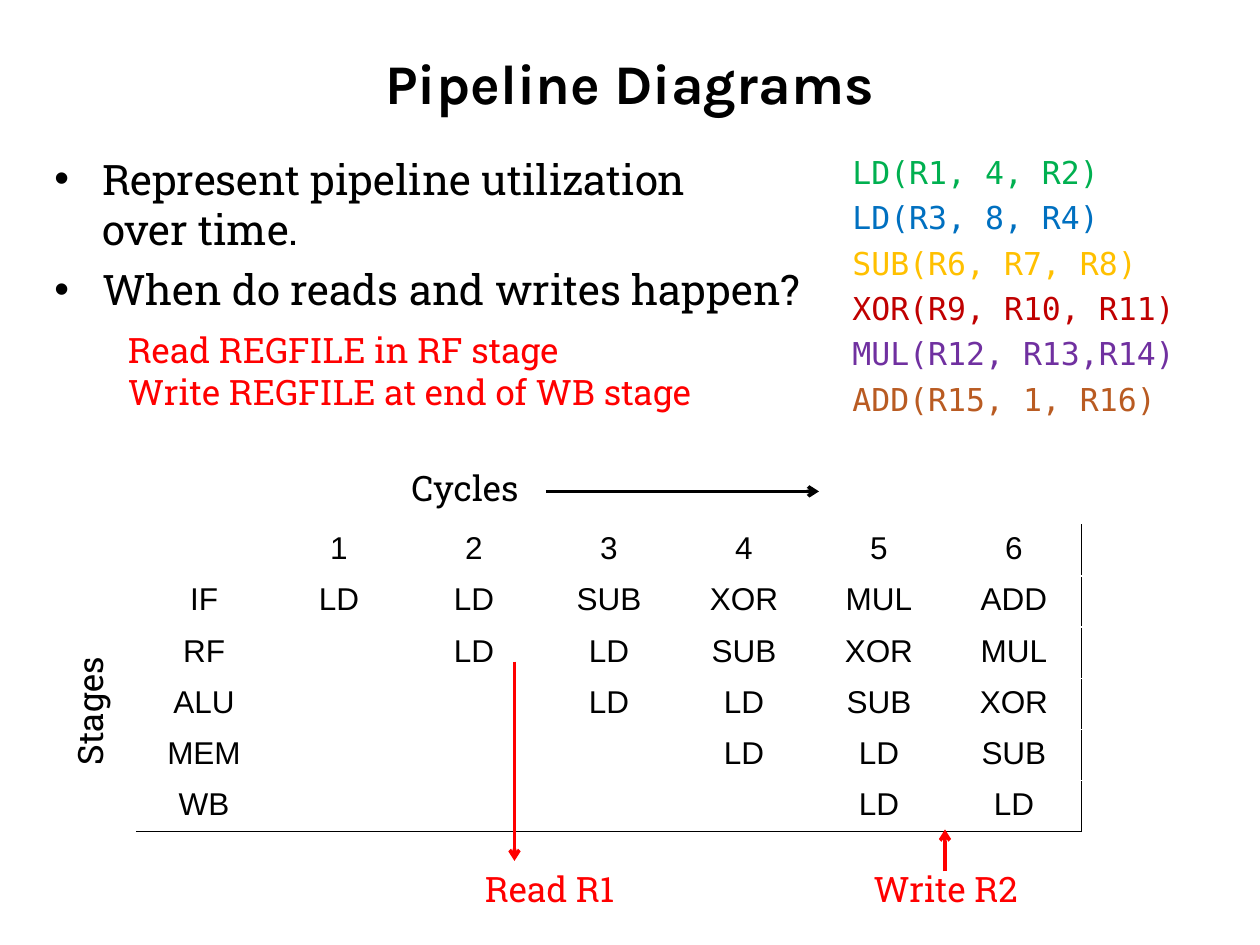
"""Build the Pipeline Diagrams slide on a grid of 120 by 90 square units."""
from dataclasses import dataclass

from lxml import etree
from pptx import Presentation, util as u
from pptx.dml.color import RGBColor
from pptx.enum import shapes, text
from pptx.oxml import ns


@dataclass(frozen=True)
class Theme:
    black: str = "000000"
    red: str = "FF0000"
    heading: str = "Karla"
    body: str = "Roboto Slab"
    code: str = "DejaVu Sans Mono"
    table: str = "Arial"
    title_size: int = 32
    body_size: int = 24
    label_size: int = 20
    small_size: int = 18


theme = Theme()
presentation = Presentation()
presentation.slide_width, presentation.slide_height = u.Inches(10), u.Inches(7.5)
slide = presentation.slides.add_slide(presentation.slide_layouts[6])
unit = presentation.slide_width / 120


def add_text(box, lines, font, size, colors, wrap=False, gap=0):
    """Add a text box with one paragraph per line, cycling through colors."""
    shape = slide.shapes.add_textbox(*(round(unit * value) for value in box))
    frame = shape.text_frame
    frame.word_wrap = wrap
    frame.auto_size = text.MSO_AUTO_SIZE.NONE if wrap else text.MSO_AUTO_SIZE.SHAPE_TO_FIT_TEXT
    for index, line in enumerate(lines):
        paragraph = frame.paragraphs[0] if index == 0 else frame.add_paragraph()
        paragraph.text = line
        paragraph.space_before = u.Pt(gap)
        paragraph.font.name, paragraph.font.size = font, u.Pt(size)
        paragraph.font.color.rgb = RGBColor.from_string(colors[index % len(colors)])
    return shape


def add_arrow(points, color):
    """Add a straight arrow that points at its end."""
    connector = slide.shapes.add_connector(
        shapes.MSO_CONNECTOR.STRAIGHT, *(round(unit * value) for value in points))
    connector.line.width = u.Pt(2)
    connector.line.color.rgb = RGBColor.from_string(color)
    etree.SubElement(connector.line._get_or_add_ln(), ns.qn("a:tailEnd"), type="arrow")
    etree.SubElement(connector._element.spPr, ns.qn("a:effectLst"))


title = add_text((6, 3.6, 108, 8.4), ["Pipeline Diagrams"],
                 theme.heading, theme.title_size, [theme.black], wrap=True)
title.text_frame.vertical_anchor = text.MSO_ANCHOR.MIDDLE
title.text_frame.paragraphs[0].alignment = text.PP_ALIGN.CENTER
title.text_frame.paragraphs[0].font.bold = True

points = add_text((4, 14, 108, 7),
                  ["Represent pipeline utilization\vover time.", "When do reads and writes happen?"],
                  theme.body, theme.body_size, [theme.black], wrap=True, gap=5.7)
for paragraph in points.text_frame.paragraphs:
    properties = paragraph._p.get_or_add_pPr()
    properties.set("marL", str(u.Inches(0.38)))
    properties.set("indent", str(-u.Inches(0.38)))
    etree.SubElement(properties, ns.qn("a:buFont"), typeface=theme.table)
    etree.SubElement(properties, ns.qn("a:buChar"), char="•")
    properties.append(properties.find(ns.qn("a:defRPr")))

stages = ["IF", "RF", "ALU", "MEM", "WB"]
program = ["LD", "LD", "SUB", "XOR", "MUL", "ADD"]
cycles = len(program)
table_shape = slide.shapes.add_table(
    len(stages) + 1, cycles + 1, *(round(unit * value) for value in (13, 50, 90, 29.2)))
table = table_shape.table
table.first_row = table.horz_banding = False
for row in range(len(stages) + 1):
    for column in range(cycles + 1):
        cell = table.cell(row, column)
        if row == 0:
            label = str(column) if column else ""
        elif column == 0:
            label = stages[row - 1]
        else:
            label = program[column - row] if column >= row else ""
        paragraph = cell.text_frame.paragraphs[0]
        paragraph.text = label
        paragraph.alignment = text.PP_ALIGN.CENTER
        paragraph.font.name, paragraph.font.size = theme.table, u.Pt(theme.small_size)
        paragraph.font.color.rgb = RGBColor.from_string(theme.black)
        properties = cell._tc.get_or_add_tcPr()
        for side in ("a:lnR", "a:lnB"):
            border = etree.SubElement(properties, ns.qn(side), w=str(u.Pt(1)))
            fill = etree.SubElement(border, ns.qn("a:solidFill"))
            etree.SubElement(fill, ns.qn("a:srgbClr"), val=theme.black)
        cell.fill.background()

add_text((80, 14, 36, 31),
         ["LD(R1, 4, R2)", "LD(R3, 8, R4)", "SUB(R6, R7, R8)",
          "XOR(R9, R10, R11)", "MUL(R12, R13,R14)", "ADD(R15, 1, R16)"],
         theme.code, theme.small_size,
         ["00B050", "0070C0", "FFC000", "C00000", "7030A0", "B95B22"], wrap=True, gap=4.3)

add_arrow((52, 46.8, 78, 46.8), theme.black)
add_arrow((90, 83, 90, 79), theme.red)
add_arrow((49, 63, 49, 82), theme.red)

labels = [
    ((38, 43.8, 13, 5.3), ["Cycles"], theme.black, 0),
    ((2, 64.8, 13.2, 5.3), ["Stages"], theme.black, 270),
    ((45, 82, 16.2, 5.3), ["Read R1"], theme.red, 0),
    ((82, 82, 16.8, 5.3), ["Write R2"], theme.red, 0),
    ((11, 30.7, 59.5, 9.2),
     ["Read REGFILE in RF stage", "Write REGFILE at end of WB stage"], theme.red, 0),
]
for box, lines, color, rotation in labels:
    add_text(box, lines, theme.body, theme.label_size, [color]).rotation = rotation

presentation.save("out.pptx")
